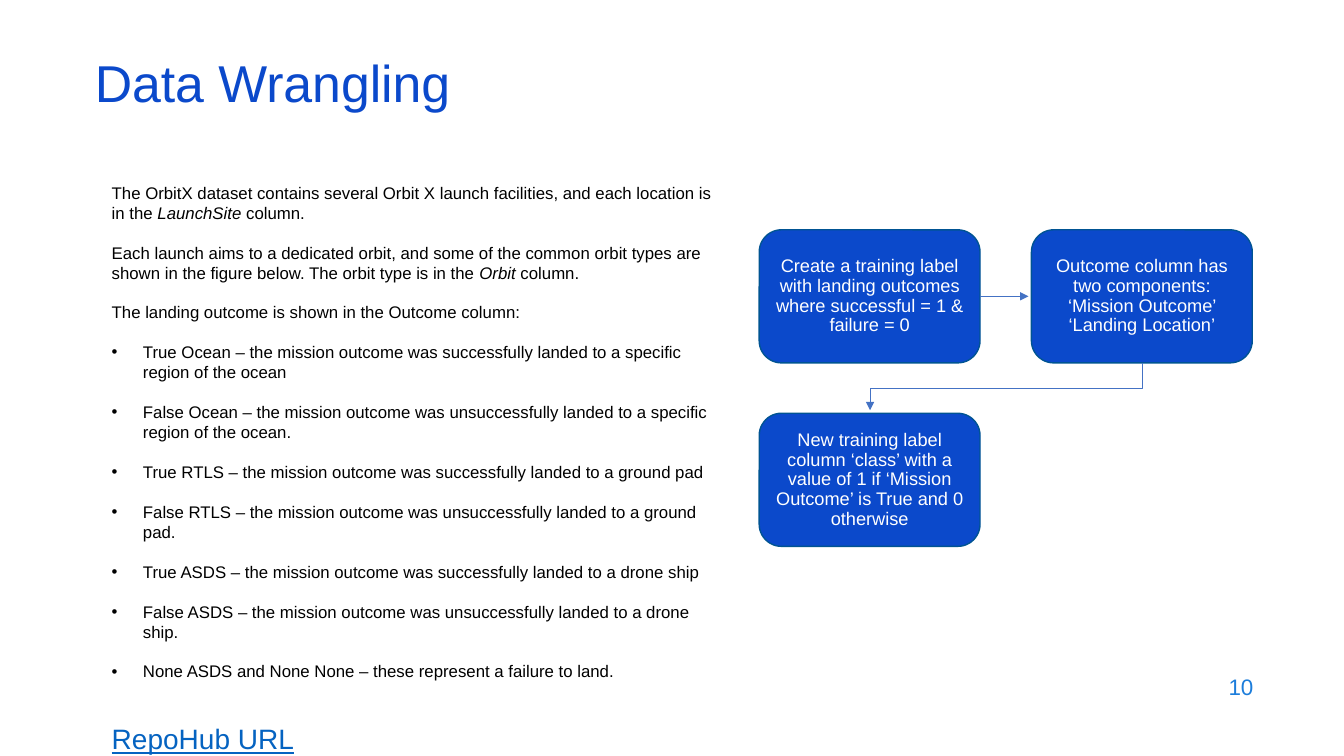
"""Build the Data Wrangling slide: notes on the left, a labelling flow on the right."""
from lxml.etree import SubElement
from pptx import Presentation
from pptx.dml.color import RGBColor
from pptx.enum.shapes import MSO_CONNECTOR, MSO_SHAPE
from pptx.enum.text import MSO_ANCHOR, MSO_AUTO_SIZE, PP_ALIGN
from pptx.oxml.ns import qn
from pptx.util import Pt

SCALE = 9144
FONT = "Arial"
COLORS = {
    "title": "0B49CB",
    "step": "0B49CB",
    "step_line": "005493",
    "arrow": "4472C4",
    "number": "1C7DDB",
    "body": "000000",
    "link": "0563C1",
    "white": "FFFFFF",
}
STEP_WIDTH, STEP_HEIGHT = 219, 132
COLUMNS = (753, 1023)
ROWS = (228, 410)
ARROW_GAP = 3

INTRO = [
    [("The OrbitX dataset contains several Orbit X launch facilities, "
      "and each location is in the ", False),
     ("LaunchSite", True), (" column.", False)],
    [("Each launch aims to a dedicated orbit, and some of the common orbit types "
      "are shown in the figure below. The orbit type is in the ", False),
     ("Orbit", True), (" column.", False)],
    [("The landing outcome is shown in the Outcome column:", False)],
]
OUTCOMES = [
    "True Ocean – the mission outcome was successfully landed to a specific region of the ocean",
    "False Ocean – the mission outcome was unsuccessfully landed to a specific region of the ocean.",
    "True RTLS – the mission outcome was successfully landed to a ground pad",
    "False RTLS – the mission outcome was unsuccessfully landed to a ground pad.",
    "True ASDS – the mission outcome was successfully landed to a drone ship",
    "False ASDS – the mission outcome was unsuccessfully landed to a drone ship.",
    "None ASDS and None None – these represent a failure to land.",
]
STEPS = [
    (0, 0, "Create a training label with landing outcomes where successful = 1 & failure = 0"),
    (1, 0, "Outcome column has two components: ‘Mission Outcome’ ‘Landing Location’"),
    (0, 1, "New training label column ‘class’ with a value of 1 if ‘Mission Outcome’ "
           "is True and 0 otherwise"),
]


def px(*lengths):
    return [length * SCALE for length in lengths]


def color(name):
    return RGBColor.from_string(COLORS[name])


def add_span(para, text, size, color_name, italic=False, underline=False):
    span = para.add_run()
    span.text = text
    span.font.name = FONT
    span.font.size = Pt(size)
    span.font.color.rgb = color(color_name)
    span.font.italic = italic
    span.font.underline = underline


def add_box(page, left, top, width, height, anchor):
    frame = page.shapes.add_textbox(*px(left, top, width, height)).text_frame
    frame.word_wrap = True
    frame.auto_size = MSO_AUTO_SIZE.NONE
    frame.vertical_anchor = anchor
    return frame


def add_bullet(para, indent):
    properties = para._p.get_or_add_pPr()
    properties.set("marL", str(indent * SCALE))
    properties.set("indent", str(-indent * SCALE))
    SubElement(properties, qn("a:buFont"), typeface=FONT)
    SubElement(properties, qn("a:buChar"), char="•")


def add_title(page, text):
    title = page.shapes.title
    title.left, title.top, title.width, title.height = px(84, 59, 1150, 60)
    frame = title.text_frame
    frame.auto_size = MSO_AUTO_SIZE.NONE
    frame.vertical_anchor = MSO_ANCHOR.MIDDLE
    para = frame.paragraphs[0]
    para.alignment = PP_ALIGN.LEFT
    para.line_spacing = 0.7
    add_span(para, text, 37, "title")


def add_notes(page):
    frame = add_box(page, 101, 176, 623, 541, MSO_ANCHOR.TOP)
    for index, spans in enumerate(INTRO):
        para = frame.add_paragraph() if index else frame.paragraphs[0]
        para.space_before = Pt(14 if index else 0)
        for text, italic in spans:
            add_span(para, text, 12, "body", italic)
    for outcome in OUTCOMES:
        para = frame.add_paragraph()
        add_bullet(para, 31)
        para.space_before = Pt(14)
        add_span(para, outcome, 12, "body")
    para = frame.add_paragraph()
    para.space_before = Pt(29)
    add_span(para, "RepoHub URL", 20, "link", underline=True)


def add_step(page, column, row, text):
    step = page.shapes.add_shape(
        MSO_SHAPE.FLOWCHART_ALTERNATE_PROCESS,
        *px(COLUMNS[column], ROWS[row], STEP_WIDTH, STEP_HEIGHT))
    step.shadow.inherit = False
    step.fill.solid()
    step.fill.fore_color.rgb = color("step")
    step.line.color.rgb = color("step_line")
    step.line.width = Pt(1)
    frame = step.text_frame
    frame.word_wrap = True
    frame.vertical_anchor = MSO_ANCHOR.MIDDLE
    frame.margin_left, frame.margin_right = px(8, 8)
    para = frame.paragraphs[0]
    para.alignment = PP_ALIGN.CENTER
    para.line_spacing = 0.9
    add_span(para, text, 13, "white")


def style_arrow(arrow):
    arrow.line.color.rgb = color("arrow")
    arrow.line.width = Pt(0.5)
    SubElement(arrow.line._get_or_add_ln(), qn("a:tailEnd"), type="triangle")


def add_straight_arrow(page, start, end):
    arrow = page.shapes.add_connector(MSO_CONNECTOR.STRAIGHT, *px(*start, *end))
    style_arrow(arrow)
    SubElement(arrow._element.spPr, qn("a:effectLst"))


def add_bent_arrow(page, points):
    builder = page.shapes.build_freeform(*points[0], scale=SCALE)
    builder.add_line_segments(points[1:], close=False)
    arrow = builder.convert_to_shape()
    arrow.shadow.inherit = False
    arrow.fill.background()
    style_arrow(arrow)


def add_flow(page):
    for step in STEPS:
        add_step(page, *step)
    middle = ROWS[0] + STEP_HEIGHT // 2
    add_straight_arrow(page, (COLUMNS[0] + STEP_WIDTH, middle),
                       (COLUMNS[1] - ARROW_GAP, middle))
    first, second = [left + STEP_WIDTH // 2 + 1 for left in COLUMNS]
    bottom = ROWS[0] + STEP_HEIGHT
    turn = (bottom + ROWS[1]) // 2
    add_bent_arrow(page, [(second, bottom), (second, turn), (first, turn),
                          (first, ROWS[1] - ARROW_GAP)])


def add_page_number(page, number):
    frame = add_box(page, 953, 659, 300, 44, MSO_ANCHOR.MIDDLE)
    para = frame.paragraphs[0]
    para.alignment = PP_ALIGN.RIGHT
    add_span(para, number, 16, "number")


def main():
    deck = Presentation()
    deck.slide_width, deck.slide_height = px(1333, 750)
    page = deck.slides.add_slide(deck.slide_layouts.get_by_name("Title Only"))
    add_title(page, "Data Wrangling")
    add_notes(page)
    add_flow(page)
    add_page_number(page, "10")
    deck.save("out.pptx")


if __name__ == "__main__":
    main()
